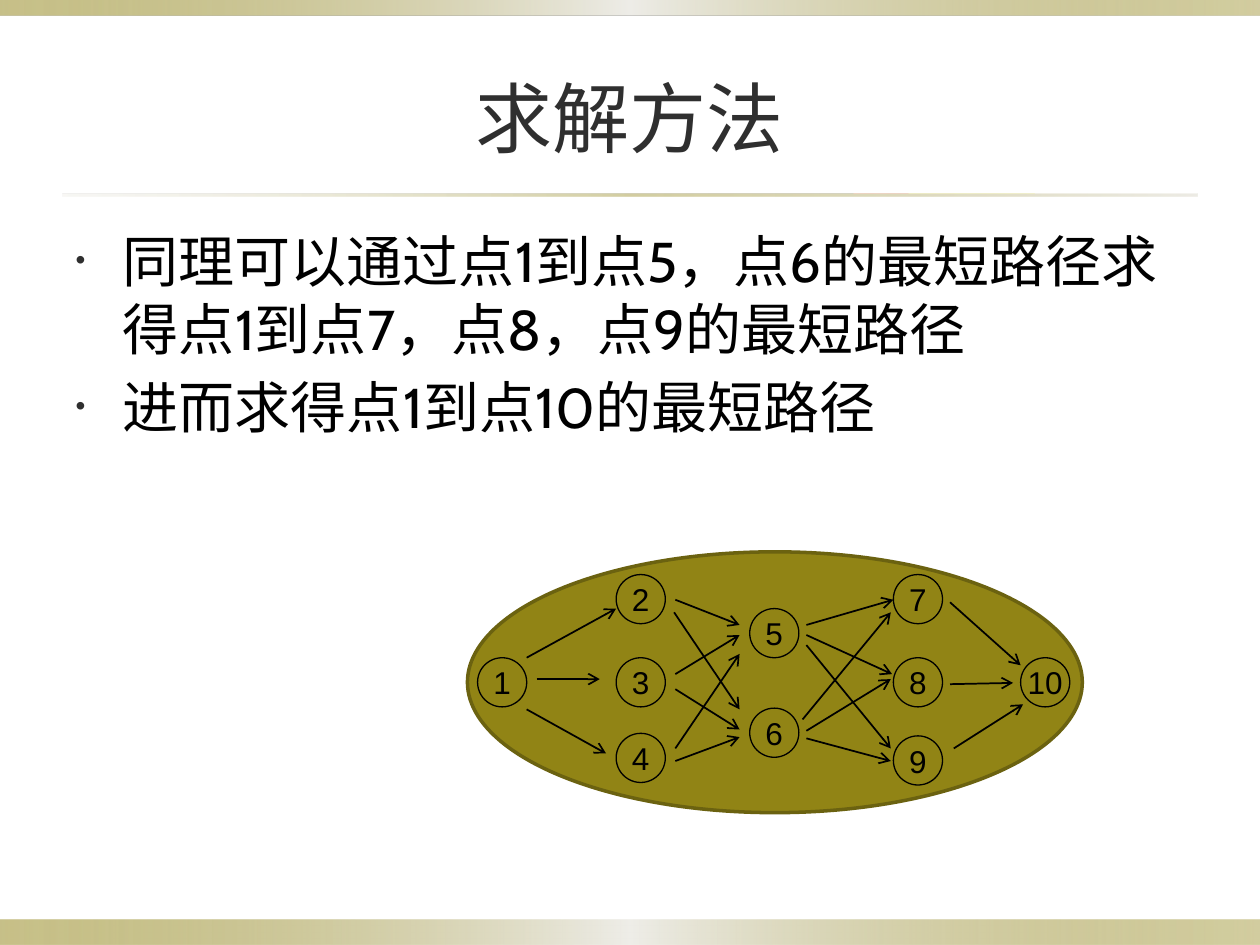
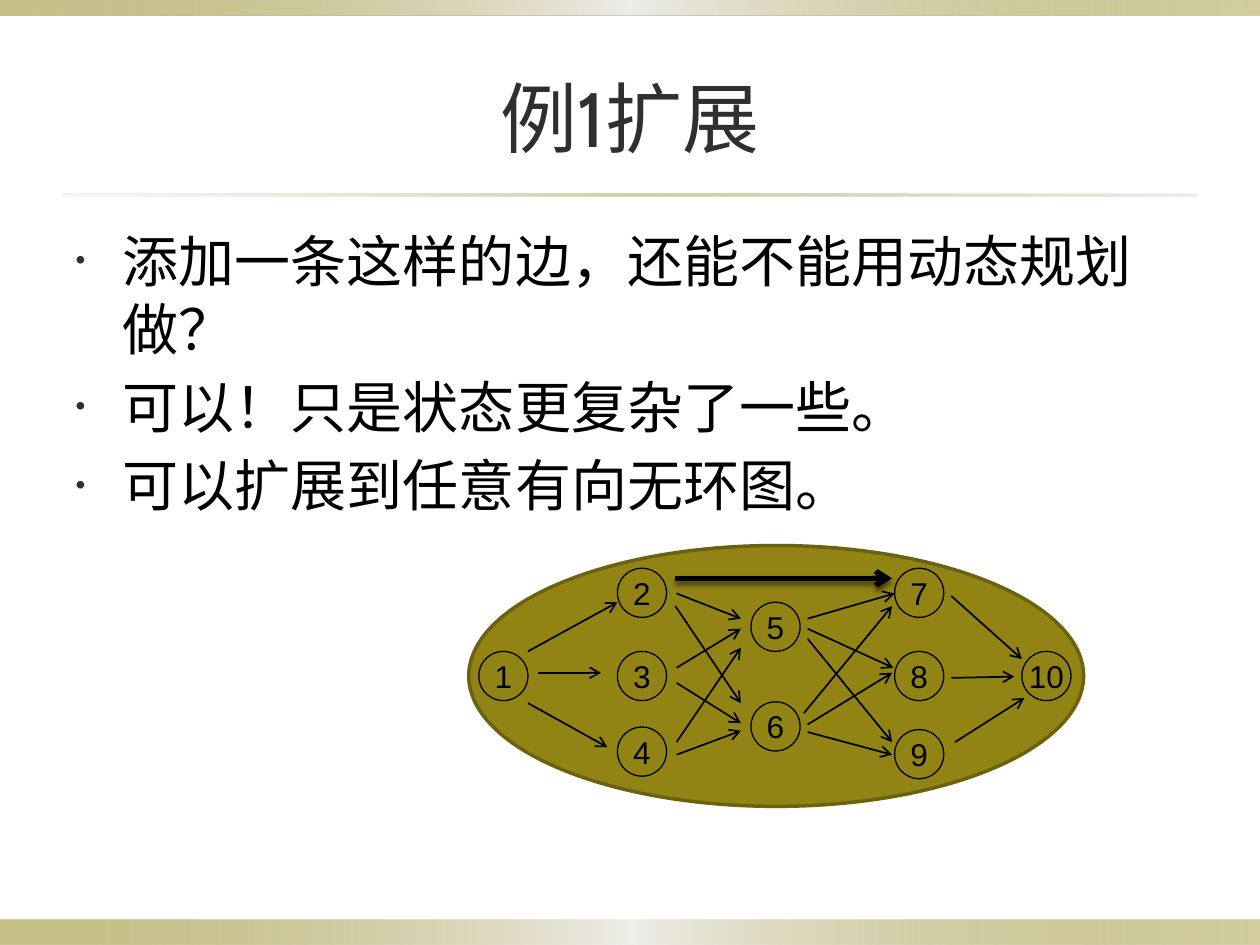
from dataclasses import dataclass
from typing import NamedTuple

from pptx import Presentation
from pptx.dml.color import RGBColor
from pptx.enum.shapes import MSO_CONNECTOR, MSO_SHAPE
from pptx.enum.text import MSO_ANCHOR, MSO_AUTO_SIZE, PP_ALIGN
from pptx.oxml import parse_xml
from pptx.oxml.ns import nsdecls, qn
from pptx.util import Emu, Pt

PX = 9144


@dataclass(frozen=True)
class Theme:
    olive: str = "918415"
    olive_dark: str = "6B6210"
    pale: str = "EEEDE8"
    sand: str = "DCD9CC"
    title: str = "2F2F2F"
    ink: str = "000000"
    text_font: str = "Cabin"
    node_font: str = "Arial"
    title_size: int = 44
    body_size: int = 32
    node_size: int = 18
    bullet_percent: int = 50


T = Theme()


class Box(NamedTuple):
    x: int
    y: int
    w: int
    h: int


class Stop(NamedTuple):
    pos: int
    color: str
    alpha: int


class Band(NamedTuple):
    box: Box
    stops: tuple[Stop, ...]


class Node(NamedTuple):
    label: str
    x: int
    y: int


class Arrow(NamedTuple):
    x1: int
    y1: int
    x2: int
    y2: int


class Page(NamedTuple):
    title: str
    bullets: tuple[str, ...]
    graph_x: int
    graph_y: int
    extra_edge: Arrow | None = None


TITLE_BOX = Box(50, 30, 900, 125)
BODY_BOX = Box(50, 175, 900, 513)
EDGE_STOPS = (Stop(0, T.olive, 50), Stop(50, T.pale, 100), Stop(100, T.olive, 40))
RULE_STOPS = (Stop(0, T.sand, 20), Stop(50, T.olive, 40), Stop(100, T.sand, 50))
BANDS = (
    Band(Box(0, 730, 1000, 20), EDGE_STOPS),
    Band(Box(0, 0, 1000, 12), EDGE_STOPS),
    Band(Box(50, 154, 900, 2), RULE_STOPS),
)

OVAL_W, OVAL_H, NODE_D = 488, 207, 39
NODES = (
    Node("1", 8, 84),
    Node("2", 118, 18),
    Node("3", 118, 84),
    Node("4", 118, 144),
    Node("5", 224, 45),
    Node("6", 224, 124),
    Node("7", 338, 18),
    Node("8", 338, 84),
    Node("9", 338, 146),
    Node("10", 439, 84),
)
ARROWS = (
    Arrow(47, 84, 118, 45),
    Arrow(55, 101, 105, 101),
    Arrow(47, 125, 110, 160),
    Arrow(165, 38, 216, 58),
    Arrow(164, 48, 216, 125),
    Arrow(165, 97, 216, 66),
    Arrow(165, 109, 216, 141),
    Arrow(165, 156, 216, 81),
    Arrow(165, 166, 216, 147),
    Arrow(269, 58, 338, 38),
    Arrow(269, 66, 337, 97),
    Arrow(269, 74, 336, 156),
    Arrow(266, 133, 336, 48),
    Arrow(269, 142, 336, 101),
    Arrow(269, 148, 336, 166),
    Arrow(383, 40, 439, 90),
    Arrow(383, 105, 433, 104),
    Arrow(386, 156, 441, 121),
)
PAGES = (
    Page(
        "求解方法",
        (
            "同理可以通过点1到点5，点6的最短路径求得点1到点7，点8，点9的最短路径",
            "进而求得点1到点10的最短路径",
        ),
        371,
        438,
    ),
    Page(
        "例1扩展",
        (
            "添加一条这样的边，还能不能用动态规划做？",
            "可以！只是状态更复杂了一些。",
            "可以扩展到任意有向无环图。",
        ),
        372,
        433,
        Arrow(536, 459, 708, 459),
    ),
)


def emu(*px: int) -> list[Emu]:
    return [Emu(v * PX) for v in px]


def rgb(color: str) -> RGBColor:
    return RGBColor.from_string(color)


def xml(tag: str, attrs: str = "", inner: str = ""):
    return parse_xml(f"<a:{tag} {nsdecls('a')} {attrs}>{inner}</a:{tag}>")


def color_xml(color: str, alpha: int) -> str:
    return f'<a:srgbClr val="{color}"><a:alpha val="{alpha * 1000}"/></a:srgbClr>'


def add_run(p, text: str, font: str, size: int, color: str) -> None:
    r = p.add_run()
    r.text = text
    r.font.name = font
    r.font.size = Pt(size)
    r.font.color.rgb = rgb(color)


def add_band(s, master, band: Band) -> None:
    sp = s.shapes.add_shape(MSO_SHAPE.RECTANGLE, *emu(*band.box))
    sp.shadow.inherit = False
    sp.line.fill.background()
    sp.fill.gradient()
    sp.fill.gradient_angle = 0
    stops = sp.element.spPr.find(qn("a:gradFill")).find(qn("a:gsLst"))
    for old in list(stops):
        stops.remove(old)
    for stop in band.stops:
        stops.append(xml("gs", f'pos="{stop.pos * 1000}"', color_xml(stop.color, stop.alpha)))
    master.element.cSld.spTree.insert(2, sp.element)


def place(sp, box: Box):
    sp.left, sp.top, sp.width, sp.height = emu(*box)
    tf = sp.text_frame
    tf.word_wrap = True
    tf.auto_size = MSO_AUTO_SIZE.NONE
    return tf


def add_title(s, text: str) -> None:
    tf = place(s.shapes.title, TITLE_BOX)
    tf.vertical_anchor = MSO_ANCHOR.MIDDLE
    p = tf.paragraphs[0]
    p.alignment = PP_ALIGN.CENTER
    add_run(p, text, T.text_font, T.title_size, T.title)


def add_bullets(s, bullets: tuple[str, ...]) -> None:
    tf = place(s.placeholders[1], BODY_BOX)
    for i, text in enumerate(bullets):
        p = tf.add_paragraph() if i else tf.paragraphs[0]
        pPr = p._p.get_or_add_pPr()
        pPr.append(xml("buClr", inner=color_xml(T.title, 100)))
        pPr.append(xml("buSzPct", f'val="{T.bullet_percent * 1000}"'))
        pPr.append(xml("buChar", 'char="•"'))
        add_run(p, text, T.text_font, T.body_size, T.ink)


def add_disc(shapes, kind: MSO_SHAPE, box: Box, line: str, width: float):
    sp = shapes.add_shape(kind, *emu(*box))
    sp.shadow.inherit = False
    sp.fill.solid()
    sp.fill.fore_color.rgb = rgb(T.olive)
    sp.line.color.rgb = rgb(line)
    sp.line.width = Pt(width)
    return sp


def add_node(shapes, node: Node, x: int, y: int) -> None:
    box = Box(x + node.x, y + node.y, NODE_D, NODE_D)
    tf = add_disc(shapes, MSO_SHAPE.OVAL, box, T.ink, 0.75).text_frame
    tf.word_wrap = False
    tf.vertical_anchor = MSO_ANCHOR.MIDDLE
    p = tf.paragraphs[0]
    p.alignment = PP_ALIGN.CENTER
    add_run(p, node.label, T.node_font, T.node_size, T.ink)


def add_arrow(shapes, a: Arrow, width: int = 1, shadow: str = "") -> None:
    cx = shapes.add_connector(MSO_CONNECTOR.STRAIGHT, *emu(*a))
    cx.line.color.rgb = rgb(T.ink)
    cx.line.width = Pt(width)
    spPr = cx.element.spPr
    spPr.find(qn("a:ln")).append(xml("tailEnd", 'type="arrow"'))
    spPr.append(xml("effectLst", inner=shadow))


def add_graph(s, x: int, y: int) -> None:
    shapes = s.shapes.add_group_shape().shapes
    oval = Box(x, y, OVAL_W, OVAL_H)
    add_disc(shapes, MSO_SHAPE.FLOWCHART_CONNECTOR, oval, T.olive_dark, 2)
    for node in NODES:
        add_node(shapes, node, x, y)
    for a in ARROWS:
        add_arrow(shapes, Arrow(x + a.x1, y + a.y1, x + a.x2, y + a.y2))


def add_page(prs, page: Page):
    s = prs.slides.add_slide(prs.slide_layouts[1])
    add_title(s, page.title)
    add_bullets(s, page.bullets)
    add_graph(s, page.graph_x, page.graph_y)
    if page.extra_edge:
        shadow = (
            f'<a:outerShdw blurRad="{Pt(2.8)}" dist="{Pt(2.5)}" dir="5400000" '
            f'rotWithShape="0">{color_xml(T.ink, 50)}</a:outerShdw>'
        )
        add_arrow(s.shapes, page.extra_edge, 3, shadow)
    return s


def main() -> None:
    prs = Presentation()
    prs.slide_width, prs.slide_height = emu(1000, 750)
    slides = [add_page(prs, page) for page in PAGES]
    for band in BANDS:
        add_band(slides[0], prs.slide_master, band)
    prs.save("out.pptx")


if __name__ == "__main__":
    main()
